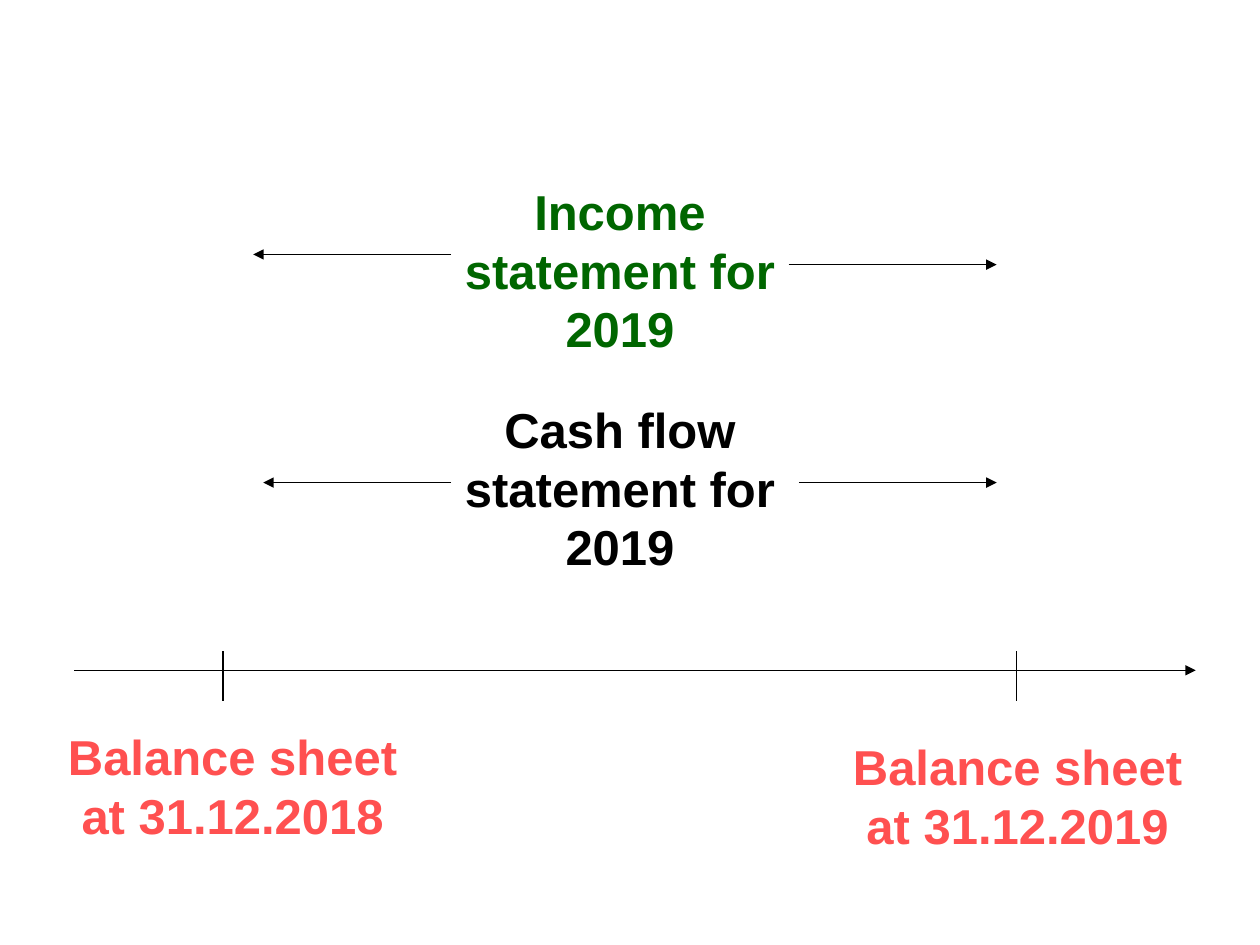
from lxml import etree
from pptx import Presentation
from pptx.dml.color import RGBColor
from pptx.enum.shapes import MSO_CONNECTOR
from pptx.enum.text import MSO_AUTO_SIZE, PP_ALIGN
from pptx.oxml.ns import qn
from pptx.util import Inches, Pt

STRAIGHT = MSO_CONNECTOR.STRAIGHT
CENTER = PP_ALIGN.CENTER
FIT_SHAPE = MSO_AUTO_SIZE.SHAPE_TO_FIT_TEXT

BLACK = RGBColor(0x00, 0x00, 0x00)
GREEN = RGBColor(0x00, 0x66, 0x00)
RED = RGBColor(0xFF, 0x50, 0x50)

AXIS_Y = 5.32
YEAR_ENDS = (1.77, 8.07)
TICK_TOP, TICK_BOTTOM = 5.17, 5.56
STATEMENT_LEFT, STATEMENT_WIDTH = 3.58, 2.68


def add_label(slide, text, left, top, width, height, *, color=BLACK, size=28):
    box = slide.shapes.add_textbox(Inches(left), Inches(top),
                                   Inches(width), Inches(height))
    tf = box.text_frame
    tf.word_wrap = True
    tf.auto_size = FIT_SHAPE
    p = tf.paragraphs[0]
    p.alignment = CENTER
    p.space_before = Pt(17.5)
    r = p.add_run()
    r.text = text
    r.font.name = "Arial"
    r.font.size = Pt(size)
    r.font.bold = True
    r.font.color.rgb = color


def add_line(slide, x1, y1, x2, y2, arrow=False):
    """Draw a thin black line, with an arrowhead at its end if asked."""
    line = slide.shapes.add_connector(STRAIGHT, Inches(x1), Inches(y1),
                                      Inches(x2), Inches(y2))
    line.line.color.rgb = BLACK
    line.line.width = Pt(0.75)
    if arrow:
        etree.SubElement(line.line._get_or_add_ln(), qn("a:tailEnd"), type="triangle")
    etree.SubElement(line._element.spPr, qn("a:effectLst"))


def add_timeline(slide):
    add_line(slide, 0.59, AXIS_Y, 9.49, AXIS_Y, arrow=True)
    for x in YEAR_ENDS:
        add_line(slide, x, TICK_TOP, x, TICK_BOTTOM)


def add_statement(slide, text, top, color, left_arrow, right_arrow):
    """Add a statement label and its arrows, each given as (start x, end x, y)."""
    add_label(slide, text, STATEMENT_LEFT, top, STATEMENT_WIDTH, 1.5, color=color)
    for start, end, y in (left_arrow, right_arrow):
        add_line(slide, start, y, end, y, arrow=True)


def main():
    prs = Presentation()
    prs.slide_width, prs.slide_height = Inches(10), Inches(7.5)
    slide = prs.slides.add_slide(prs.slide_layouts[6])

    add_timeline(slide)
    add_label(slide, "Balance sheet at 31.12.2018", 0.35, 5.72, 2.99, 1.04, color=RED)
    add_label(slide, "Balance sheet at 31.12.2019", 6.5, 5.8, 3.15, 1.04, color=RED)
    add_statement(slide, "Income statement for 2019", 1.39, GREEN,
                  (3.58, 2.01, 2.02), (6.26, 7.91, 2.1))
    add_statement(slide, "Cash flow statement for 2019", 3.12, BLACK,
                  (3.58, 2.09, 3.83), (6.34, 7.91, 3.83))

    prs.save("out.pptx")


if __name__ == "__main__":
    main()
